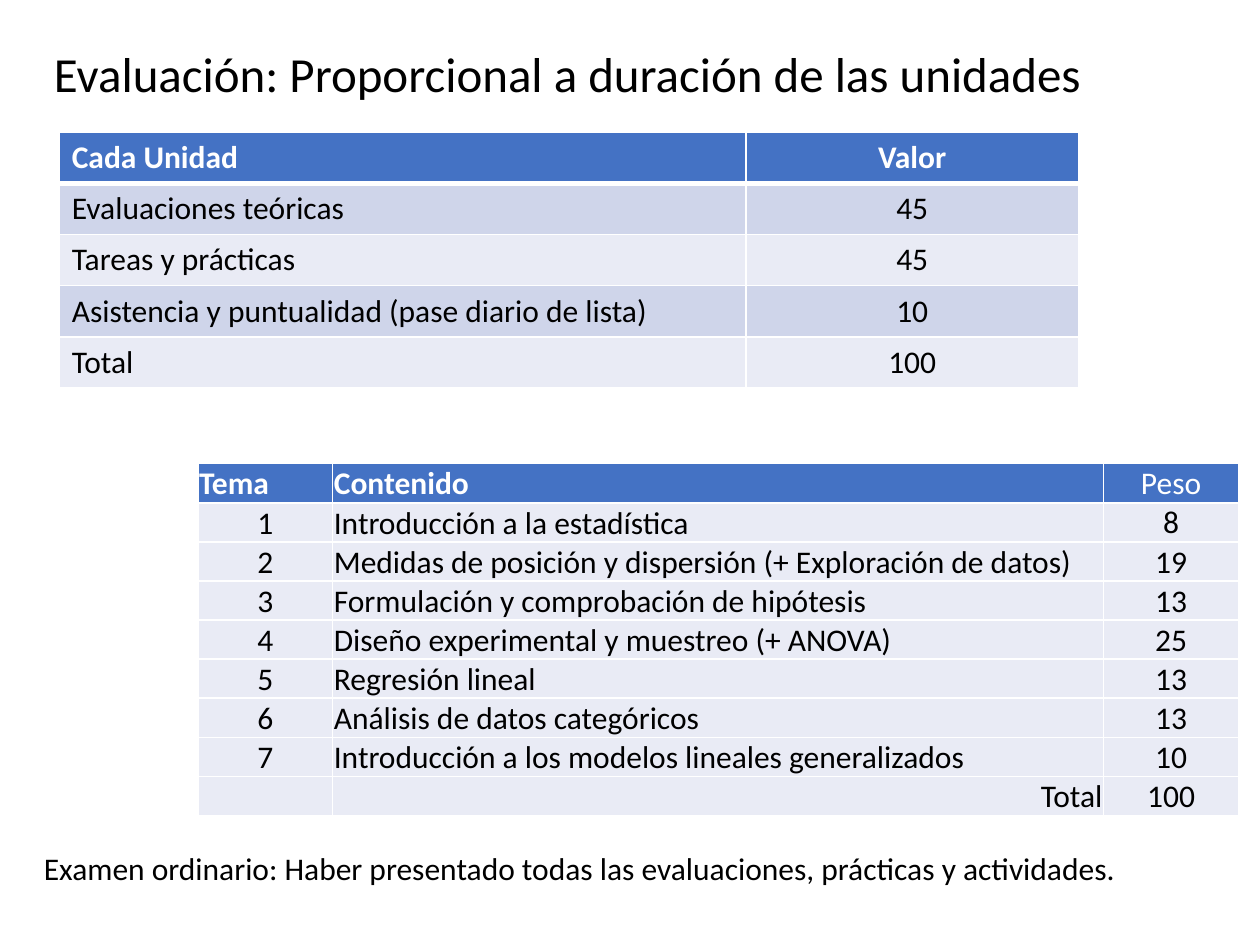
import pptx
import pptx.dml.color
import pptx.enum.text
import pptx.oxml
import pptx.util
from pptx.util import Inches

RGBColor = pptx.dml.color.RGBColor
Align = pptx.enum.text.PP_ALIGN
Anchor = pptx.enum.text.MSO_ANCHOR

BLACK = RGBColor(0x00, 0x00, 0x00)
WHITE = RGBColor(0xFF, 0xFF, 0xFF)
BLUE = RGBColor(0x44, 0x72, 0xC4)
MID = RGBColor(0xCF, 0xD5, 0xEA)
PALE = RGBColor(0xE9, 0xEB, 0xF5)

LEFT, MIDDLE, RIGHT, JUST = Align.LEFT, Align.CENTER, Align.RIGHT, Align.JUSTIFY

SCORES = [
    ("Cada Unidad", "Valor"),
    ("Evaluaciones teóricas", "45"),
    ("Tareas y prácticas", "45"),
    ("Asistencia y puntualidad (pase diario de lista)", "10"),
    ("Total", "100"),
]
TOPICS = [
    ("Tema", "Contenido", "Peso"),
    ("1", "Introducción a la estadística", "8"),
    ("2", "Medidas de posición y dispersión (+ Exploración de datos)", "19"),
    ("3", "Formulación y comprobación de hipótesis", "13"),
    ("4", "Diseño experimental y muestreo (+ ANOVA)", "25"),
    ("5", "Regresión lineal", "13"),
    ("6", "Análisis de datos categóricos", "13"),
    ("7", "Introducción a los modelos lineales generalizados", "10"),
    ("", "Total", "100"),
]


def assign(target, values):
    for name, value in values.items():
        setattr(target, name, value)


def border(cell, widths):
    """Draw white cell edges; widths maps L, R, T and B to points."""
    props = cell._tc.get_or_add_tcPr()
    for side, width in widths.items():
        props.append(pptx.oxml.parse_xml(
            '<a:ln%s xmlns:a="http://schemas.openxmlformats.org/drawingml/2006/main"'
            ' w="%d"><a:solidFill><a:srgbClr val="%s"/></a:solidFill></a:ln%s>'
            % (side, pptx.util.Pt(width), WHITE, side)))


class Page:
    def __init__(self, slide, font):
        self.slide = slide
        self.font = font

    def label(self, frame, text, align=LEFT, color=BLACK, **style):
        para = frame.paragraphs[0]
        para.alignment = align
        if text:
            run = para.add_run()
            run.text = text
            assign(run.font, {**self.font, **style})
            run.font.color.rgb = color

    def text(self, place, text, size):
        box = self.slide.shapes.add_textbox(*map(Inches, place))
        box.text_frame.word_wrap = True
        self.label(box.text_frame, text, size=pptx.util.Pt(size))

    def table(self, place, data, widths, aligns, bolds, bands, rule=1, inset=None):
        """Aligns gives a row number's alignments; bolds, those of the head."""
        shape = self.slide.shapes.add_table(
            len(data), len(widths), *map(Inches, place))
        grid = shape.table
        for column, width in zip(grid.columns, widths):
            column.width = Inches(width)
        for r, row in enumerate(data):
            head = r == 0
            grid.rows[r].height = Inches(place[3] / len(data))
            for c, text in enumerate(row):
                cell = grid.cell(r, c)
                border(cell, {"L": 1, "R": 1, "T": rule if r == 1 else 1,
                              "B": rule if head else 1})
                cell.fill.solid()
                cell.fill.fore_color.rgb = BLUE if head else bands[(r - 1) % len(bands)]
                if inset:
                    assign(cell, inset)
                    low = head or c == len(row) - 1
                    cell.vertical_anchor = Anchor.BOTTOM if low else Anchor.MIDDLE
                self.label(cell.text_frame, text, aligns(r)[c],
                           WHITE if head else BLACK, bold=head and bolds[c])


def topic_aligns(row):
    if row == 0:
        return LEFT, LEFT, MIDDLE
    if row == len(TOPICS) - 1:
        return MIDDLE, RIGHT, MIDDLE
    return MIDDLE, JUST if 2 <= row <= 5 else LEFT, MIDDLE


def main():
    deck = pptx.Presentation()
    assign(deck, {"slide_width": Inches(10), "slide_height": Inches(7.5)})
    page = Page(deck.slides.add_slide(deck.slide_layouts[6]),
                {"name": "Calibri", "size": pptx.util.Pt(18)})
    page.text((0.33, 0.3, 8.59, 0.57),
              "Evaluación: Proporcional a duración de las unidades", 28)
    page.text((0.25, 6.69, 9.5, 0.4),
              "Examen ordinario: Haber presentado todas las evaluaciones, "
              "prácticas y actividades.", 18)
    page.table((0.47, 1.05, 8.09, 2.03), SCORES, (5.45, 2.64),
               lambda row: (LEFT, MIDDLE), (True, True), (MID, PALE), rule=3)
    thin = Inches(0.01)
    page.table((1.57, 3.68, 8.25, 2.77), TOPICS, (1.07, 6.12, 1.07),
               topic_aligns, (True, True, False), (PALE,),
               inset={"margin_left": thin, "margin_top": thin,
                      "margin_right": thin, "margin_bottom": 0})
    deck.save("out.pptx")


if __name__ == "__main__":
    main()
